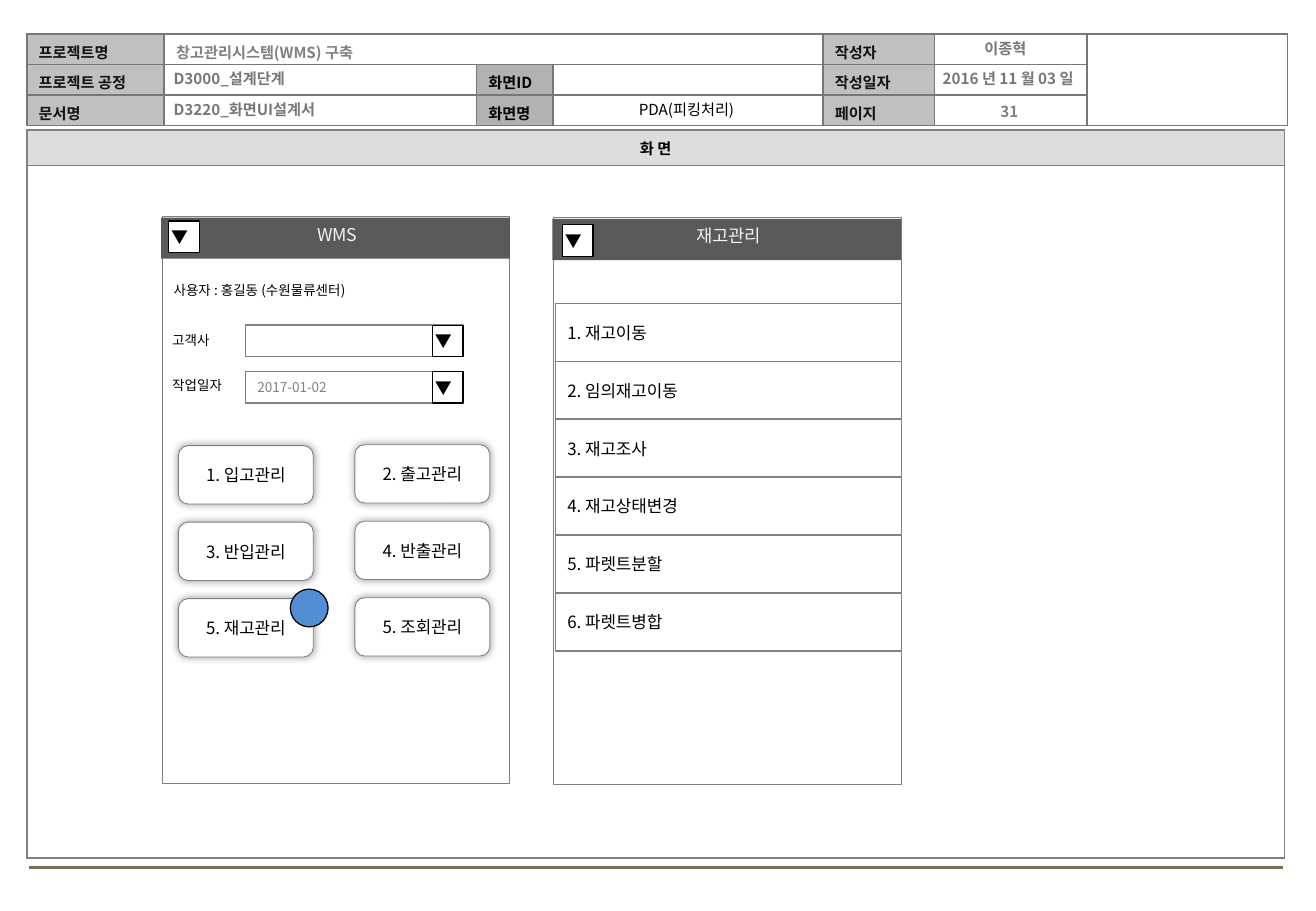
import lxml.etree
import pptx
import pptx.dml.color
import pptx.enum.shapes
import pptx.enum.text
import pptx.oxml.ns
import pptx.util

Cm = pptx.util.Cm
Pt = pptx.util.Pt
RGBColor = pptx.dml.color.RGBColor
Kind = pptx.enum.shapes.MSO_SHAPE
Align = pptx.enum.text.PP_ALIGN
Anchor = pptx.enum.text.MSO_ANCHOR
Fit = pptx.enum.text.MSO_AUTO_SIZE
qn = pptx.oxml.ns.qn
sub = lxml.etree.SubElement

FACE = "Noto Sans CJK KR"
BLACK = RGBColor(0x00, 0x00, 0x00)
INK = RGBColor(0x11, 0x11, 0x11)
WHITE = RGBColor(0xFF, 0xFF, 0xFF)
PALE = RGBColor(0xF2, 0xF2, 0xF2)
DARK = RGBColor(0x59, 0x59, 0x59)
GRAY = RGBColor(0x80, 0x80, 0x80)
EDGE = RGBColor(0x77, 0x77, 0x77)
LABEL = RGBColor(0xC0, 0xC0, 0xC0)
MID = RGBColor(0xB2, 0xB2, 0xB2)
BAND = RGBColor(0xDD, 0xDD, 0xDD)
BLUE = RGBColor(0x53, 0x8E, 0xD5)
BROWN = RGBColor(0x7A, 0x6F, 0x54)

HEAD = [
    ["프로젝트명", "창고관리시스템(WMS) 구축", "", "", "작성자", "", ""],
    ["프로젝트 공정", "", "화면ID", "", "작성일자", "", ""],
    ["문서명", "", "화면명", "", "페이지", "", ""],
]
TASKS = ["1. 입고관리", "2. 출고관리", "3. 반입관리",
         "4. 반출관리", "5. 재고관리", "5. 조회관리"]
MENU = ["1. 재고이동", "2. 임의재고이동", "3. 재고조사",
        "4. 재고상태변경", "5. 파렛트분할", "6. 파렛트병합"]


def format(thing, values):
    """Set each attribute of the thing from a dict."""
    for key, value in values.items():
        setattr(thing, key, value)


def write(frame, text, size, color, bold=False, align=Align.LEFT):
    """Put one formatted line of text in a frame."""
    line = frame.paragraphs[0]
    line.alignment = align
    run = line.add_run()
    run.text = text
    format(run.font, {"size": Pt(size), "bold": bold, "name": FACE})
    run.font.color.rgb = color
    sub(run._r.get_or_add_rPr(), qn("a:ea"), typeface=FACE)


def place(shape, box):
    """Move and size a shape with lengths in centimetres."""
    format(shape, dict(zip(("left", "top", "width", "height"), map(Cm, box))))


def note(slide, box, text, size, color, bold=False, align=Align.LEFT, wrap=True):
    """Add a text box."""
    frame = slide.shapes.add_textbox(*map(Cm, box)).text_frame
    format(frame, {"word_wrap": wrap, "auto_size": Fit.SHAPE_TO_FIT_TEXT})
    write(frame, text, size, color, bold, align)


def block(slide, kind, box, fill=None, edge=None, width=1):
    """Add a flat shape, with fill and outline if given."""
    shape = slide.shapes.add_shape(kind, *map(Cm, box))
    shape.shadow.inherit = False
    if fill is None:
        shape.fill.background()
    else:
        shape.fill.solid()
        shape.fill.fore_color.rgb = fill
    if edge is None:
        shape.line.fill.background()
    else:
        shape.line.color.rgb = edge
        shape.line.width = Pt(width)
    shape.text_frame.vertical_anchor = Anchor.MIDDLE
    return shape


def arrow(slide, left, top):
    """Add a drop-down button."""
    shape = block(slide, Kind.RECTANGLE, (left, top, 0.64, 0.66), WHITE, BLACK, 0.75)
    frame = shape.text_frame
    format(frame, {"margin_left": Cm(0.05), "margin_right": Cm(0.05),
                   "margin_top": Cm(0.1), "margin_bottom": Cm(0.1),
                   "word_wrap": False})
    write(frame, "▼", 10, BLACK)


def button(slide, left, top, text):
    """Add a rounded button with a soft shadow."""
    shape = block(slide, Kind.ROUNDED_RECTANGLE, (left, top, 2.82, 1.22), WHITE, GRAY, 0.5)
    glow = sub(shape._element.spPr.find(qn("a:effectLst")), qn("a:outerShdw"),
               blurRad=str(Pt(5)), dist="0", dir="0", algn="ctr", rotWithShape="0")
    tint = sub(glow, qn("a:srgbClr"), val=str(BLACK))
    sub(tint, qn("a:alpha"), val="40000")
    write(shape.text_frame, text, 10, BLACK, align=Align.CENTER)


def panel(slide, left, top, title):
    """Add a screen frame with its title bar."""
    block(slide, Kind.FLOWCHART_PROCESS, (left, top, 7.26, 11.86), WHITE, GRAY, 0.5)
    block(slide, Kind.RECTANGLE, (left - 0.03, top + 0.03, 7.29, 0.86), DARK)
    note(slide, (left + 0.03, top + 0.03, 7.24, 0.71), title, 10.5, PALE, align=Align.CENTER)


def style(cell, edge, fill=None):
    """Set the borders, fill and margins of a cell."""
    props = cell._tc.get_or_add_tcPr()
    for side in ("lnL", "lnR", "lnT", "lnB"):
        line = sub(props, qn("a:" + side), w=str(Pt(1)))
        sub(sub(line, qn("a:solidFill")), qn("a:srgbClr"), val=str(edge))
    if fill is None:
        cell.fill.background()
    else:
        cell.fill.solid()
        cell.fill.fore_color.rgb = fill
    format(cell, {"margin_left": Cm(0.25), "margin_right": Cm(0.25),
                  "margin_top": Cm(0.1), "margin_bottom": 0,
                  "vertical_anchor": Anchor.MIDDLE})
    cell.text_frame.paragraphs[0]._p.get_or_add_endParaRPr().set("sz", "900")


def table(slide, left, top, cols, rows):
    """Add a plain table with the given column and row sizes."""
    grid = slide.shapes.add_table(len(rows), len(cols), Cm(left), Cm(top),
                                  Cm(sum(cols)), Cm(sum(rows))).table
    format(grid, {"first_row": False, "horz_banding": False})
    for col, width in zip(grid.columns, cols):
        col.width = Cm(width)
    for row, height in zip(grid.rows, rows):
        row.height = Cm(height)
    return grid


def header(slide):
    """Add the document header and its entries."""
    grid = table(slide, 0.56, 0.71, [2.87, 6.53, 1.6, 5.64, 2.34, 3.18, 4.19], [0.64] * 3)
    fills = {0: LABEL, 2: MID, 4: LABEL}
    inks = {0: INK, 1: GRAY, 2: BLACK, 4: INK}
    for r, row in enumerate(HEAD):
        for c, text in enumerate(row):
            cell = grid.cell(r, c)
            style(cell, EDGE, None if (r, c) == (0, 2) else fills.get(c))
            if text:
                write(cell.text_frame, text, 9, inks[c], True)
    grid.cell(0, 1).merge(grid.cell(0, 3))
    grid.cell(0, 6).merge(grid.cell(2, 6))
    for box, text, color, align in [
        ((3.38, 1.32, 13.77, 0.64), "D3000_설계단계", EDGE, Align.LEFT),
        ((3.38, 1.98, 13.77, 0.64), "D3220_화면UI설계서", EDGE, Align.LEFT),
        ((19.02, 0.69, 3.99, 0.64), "이종혁", EDGE, Align.CENTER),
        ((19.08, 1.32, 3.99, 0.64), "2016 년 11 월 03 일", EDGE, Align.CENTER),
        ((19.51, 2.01, 3.18, 0.64), "31", GRAY, Align.CENTER),
    ]:
        note(slide, box, text, 9, color, True, align)


def body(slide):
    """Add the framed screen area and the footer rule."""
    grid = table(slide, 0.56, 2.72, [26.29], [0.74, 14.48])
    style(grid.cell(0, 0), GRAY, BAND)
    style(grid.cell(1, 0), GRAY)
    grid.cell(0, 0).margin_top = 0
    write(grid.cell(0, 0).text_frame, "화 면", 9, BLACK, True, Align.CENTER)
    rule = slide.shapes.add_connector(pptx.enum.shapes.MSO_CONNECTOR.STRAIGHT,
                                      Cm(0.61), Cm(18.14), Cm(26.82), Cm(18.14))
    format(rule.line, {"width": Pt(1.75)})
    rule.line.color.rgb = BROWN
    sub(rule._element.spPr, qn("a:effectLst"))


def home(slide):
    """Add the main screen with its fields and buttons."""
    panel(slide, 3.4, 4.52, "WMS")
    arrow(slide, 3.53, 4.62)
    for left, top, width, text in [(3.38, 5.77, 4.57, "사용자 : 홍길동 (수원물류센터)"),
                                   (3.35, 6.81, 1.37, "고객사"),
                                   (3.35, 7.75, 1.65, "작업일자")]:
        note(slide, (left, top, width, 0.61), text, 8, BLACK, wrap=False)
    for top, text in [(6.8, ""), (7.77, "2017-01-02")]:
        field = block(slide, Kind.RECTANGLE, (5.13, top, 4.55, 0.66), edge=GRAY)
        if text:
            write(field.text_frame, text, 8, GRAY)
        arrow(slide, 9.04, top)
    for i, text in enumerate(TASKS):
        row, col = divmod(i, 2)
        button(slide, 3.73 + 3.69 * col, 9.32 + 1.6 * row - 0.02 * col, text)
    block(slide, Kind.OVAL, (6.07, 12.32, 0.79, 0.79), BLUE, BLACK, 0.75)


def stock(slide):
    """Add the stock screen with its menu."""
    panel(slide, 11.58, 4.55, "재고관리")
    arrow(slide, 11.76, 4.7)
    for i, text in enumerate(MENU):
        item = block(slide, Kind.RECTANGLE, (11.61, 6.35 + 1.21 * i, 7.24, 1.21), edge=GRAY)
        write(item.text_frame, text, 10, BLACK)


def main():
    """Build the slide and save it."""
    deck = pptx.Presentation()
    format(deck, {"slide_width": Cm(27.51), "slide_height": Cm(19.05)})
    slide = deck.slides.add_slide(deck.slide_layouts[5])
    title = slide.shapes.title
    place(title, (11.58, 1.98, 5.54, 0.64))
    format(title.text_frame, {"vertical_anchor": Anchor.TOP, "auto_size": Fit.NONE,
                              "word_wrap": True})
    write(title.text_frame, "PDA(피킹처리)", 9, BLACK, align=Align.CENTER)
    header(slide)
    body(slide)
    home(slide)
    stock(slide)
    deck.save("out.pptx")


if __name__ == "__main__":
    main()
